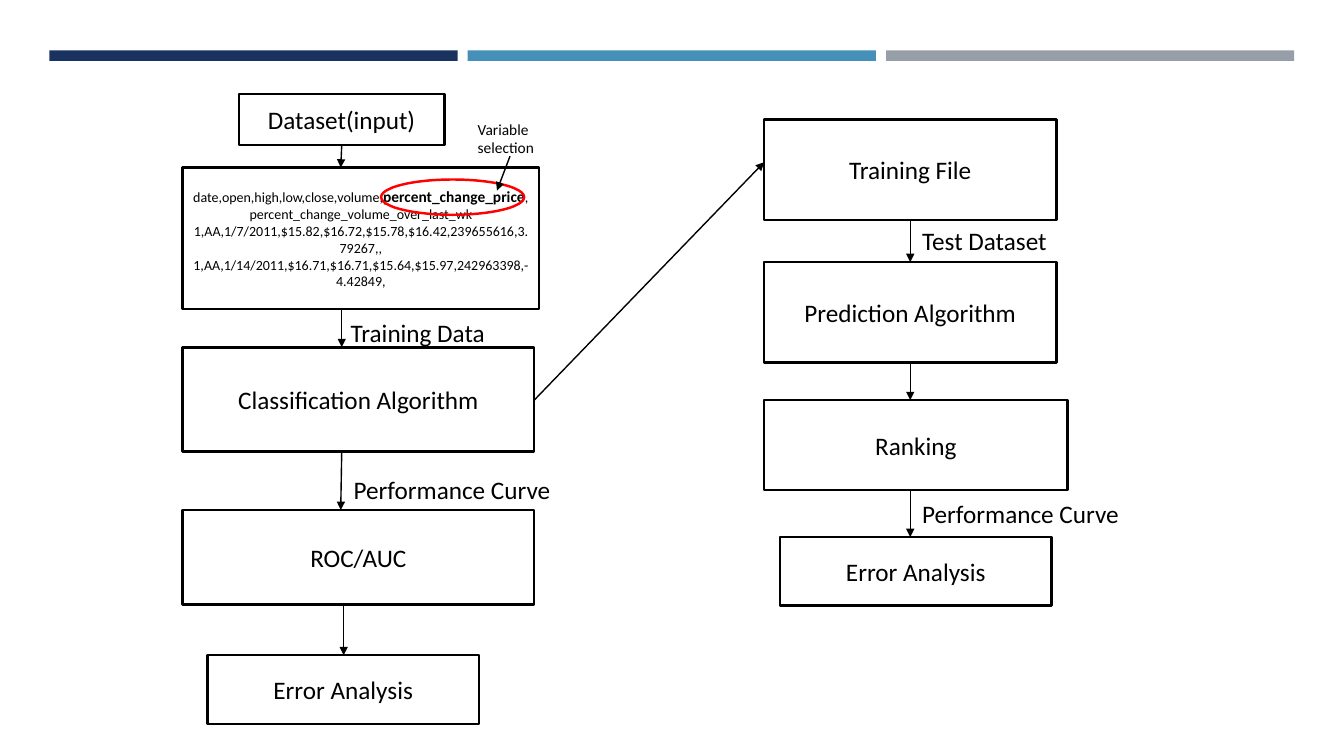
from lxml import etree
from pptx import Presentation
from pptx import util as u
from pptx.dml import color
from pptx.enum import shapes, text
from pptx.oxml import ns

COLORS = {"navy": "1A3260", "blue": "4590B8", "gray": "969FA7",
          "white": "FFFFFF", "black": "000000", "red": "FF0000"}


def rgb(name):
    return color.RGBColor.from_string(COLORS[name])


class Flowchart:
    font = "Calibri"
    size = 18
    outline = 1.75

    def __init__(self, slide):
        self.s = slide

    def shape(self, kind, box, fill=None, line=None):
        sp = self.s.shapes.add_shape(kind, *map(u.Pt, box))
        sp.shadow.inherit = False
        if fill:
            sp.fill.solid()
            sp.fill.fore_color.rgb = rgb(fill)
        else:
            sp.fill.background()
        if line:
            sp.line.color.rgb = rgb(line)
            sp.line.width = u.Pt(self.outline)
        else:
            sp.line.fill.background()
        return sp

    def set_text(self, sp, paragraphs, size, align):
        tf = sp.text_frame
        tf.word_wrap = True
        for i, runs in enumerate(paragraphs):
            p = tf.add_paragraph() if i else tf.paragraphs[0]
            p.alignment = align
            p.font.name = self.font
            p.font.size = u.Pt(size)
            p.font.color.rgb = rgb("black")
            for words, bold_size in runs:
                r = p.add_run()
                r.text = words
                if bold_size:
                    r.font.bold = True
                    r.font.size = u.Pt(bold_size)
        return tf

    def bar(self, box, fill):
        self.shape(shapes.MSO_SHAPE.RECTANGLE, box, fill)

    def box(self, box, paragraphs, size=size):
        sp = self.shape(shapes.MSO_SHAPE.RECTANGLE, box, "white", "black")
        tf = self.set_text(sp, paragraphs, size, text.PP_ALIGN.CENTER)
        tf.vertical_anchor = text.MSO_ANCHOR.MIDDLE

    def ring(self, box):
        self.shape(shapes.MSO_SHAPE.OVAL, box, line="red")

    def label(self, words, left, top, width=179.3, height=28.8, size=size):
        sp = self.s.shapes.add_textbox(*map(u.Pt, (left, top, width, height)))
        self.set_text(sp, [[(words, None)]], size, text.PP_ALIGN.LEFT)

    def arrow(self, *ends):
        c = self.s.shapes.add_connector(shapes.MSO_CONNECTOR.STRAIGHT, *map(u.Pt, ends))
        c.line.color.rgb = rgb("black")
        c.line.width = u.Pt(1)
        props = c._element.spPr
        etree.SubElement(props.find(ns.qn("a:ln")), ns.qn("a:tailEnd"), type="triangle")
        etree.SubElement(props, ns.qn("a:effectLst"))


prs = Presentation()
prs.slide_width, prs.slide_height = u.Pt(960), u.Pt(540)
chart = Flowchart(prs.slides.add_slide(prs.slide_layouts[6]))

for i, fill in enumerate(("navy", "blue", "gray")):
    chart.bar((35.3 + 298.8 * i, 36, 291.6, 7.5), fill)

steps = [
    ("Dataset(input)", (170.6, 67, 146.9, 36.7)),
    ("Classification Algorithm", (130.3, 248.4, 251.3, 74.2)),
    ("ROC/AUC", (130.3, 364.3, 251.3, 67.7)),
    ("Error Analysis", (148.3, 468, 193.7, 49)),
    ("Training File", (545.8, 85.5, 208.8, 71.7)),
    ("Prediction Algorithm", (545.8, 187.2, 208.8, 71.7)),
    ("Ranking", (545.8, 285.8, 216.7, 64.1)),
    ("Error Analysis", (557.3, 383.6, 193.7, 49)),
]
for words, box in steps:
    chart.box(box, [[(words, None)]])

sample = [
    [("date,open,high,low,close,volume,", None), ("percent_change_price", 11),
     (",percent_change_volume_over_last_wk", None)],
    [("1,AA,1/7/2011,$15.82,$16.72,$15.78,$16.42,239655616,3.79267,,", None)],
    [("1,AA,1/14/2011,$16.71,$16.71,$15.64,$15.97,242963398,-4.42849,", None)],
]
chart.box((130.3, 119.7, 254.9, 101.2), sample, size=10)
chart.ring((272.2, 128.2, 102.2, 25.2))

chart.label("Variable selection", 334.1, 82.1, 56.9, 33.8, size=11)
for words, left, top in [
    ("Training Data", 243.4, 223.2),
    ("Performance Curve", 245.5, 335.5),
    ("Test Dataset", 651.6, 157.7),
    ("Performance Curve", 651.6, 352.1),
]:
    chart.label(words, left, top)

for ends in [
    (244.1, 103.7, 243.4, 119.7),
    (244.1, 221, 244.1, 248),
    (364.3, 111.6, 355, 136.1),
    (244.1, 322.6, 243.4, 364.3),
    (245.5, 432, 245.5, 468),
    (381.6, 285.8, 545.8, 115.9),
]:
    chart.arrow(*ends)

for top, bottom in [(157, 187.2), (258.5, 285.8), (349.2, 383.6)]:
    chart.arrow(650.2, top, 650.2, bottom)

prs.save("out.pptx")
